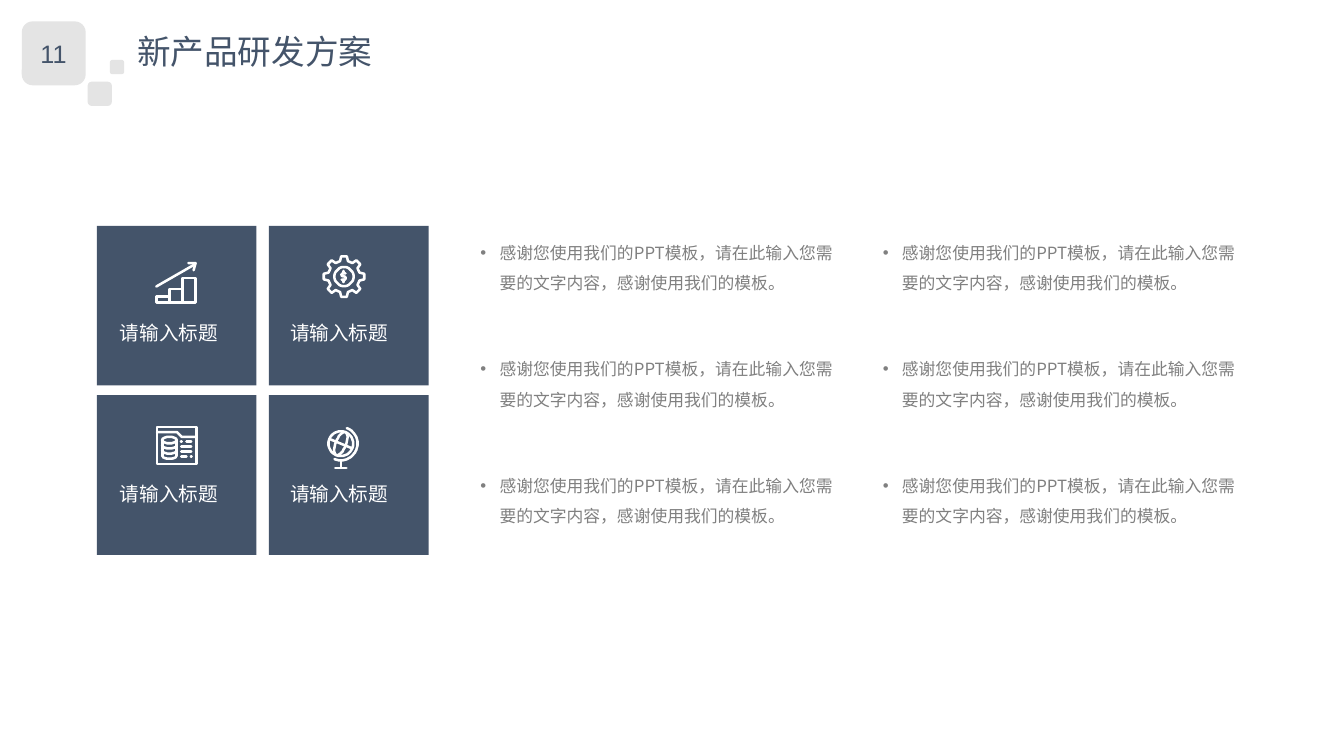
from math import cos, radians, sin

from lxml.etree import SubElement
from pptx import Presentation
from pptx.dml.color import RGBColor
from pptx.enum.shapes import MSO_SHAPE
from pptx.enum.text import MSO_ANCHOR, MSO_AUTO_SIZE, PP_ALIGN
from pptx.oxml.ns import qn
from pptx.util import Cm, Pt

NAVY, GRAY, LIGHT, WHITE = "44546A", "808080", "D9D9D9", "FFFFFF"
CJK = "Noto Sans CJK SC"
BODY = "感谢您使用我们的PPT模板，请在此输入您需要的文字内容，感谢使用我们的模板。"
LABEL = "请输入标题"


def color(value):
    return RGBColor.from_string(value)


def write(box, text, size, tint, name=CJK, bullet=False, wrap=True, **formats):
    """Fill a text shape with one paragraph; formats are paragraph attributes."""
    frame = box.text_frame
    frame.word_wrap = wrap
    frame.auto_size = MSO_AUTO_SIZE.SHAPE_TO_FIT_TEXT
    frame.vertical_anchor = MSO_ANCHOR.TOP
    para = frame.paragraphs[0]
    for key, value in formats.items():
        setattr(para, key, value)
    if bullet:
        properties = para._p.get_or_add_pPr()
        properties.set("marL", str(Cm(0.48)))
        properties.set("indent", str(Cm(-0.48)))
        SubElement(properties, qn("a:buFont")).set("typeface", "Arial")
        SubElement(properties, qn("a:buChar")).set("char", "•")
    span = para.add_run()
    span.text = text
    for key, value in {"size": Pt(size), "name": name}.items():
        setattr(span.font, key, value)
    span.font.color.rgb = color(tint)
    SubElement(span.font._element, qn("a:ea")).set("typeface", name)


def add_text(page, left, top, width, height, *content, **formats):
    box = page.shapes.add_textbox(Cm(left), Cm(top), Cm(width), Cm(height))
    write(box, *content, **formats)


def add_square(page, left, top, side, tint, corner=0.17, alpha=None):
    square = page.shapes.add_shape(
        MSO_SHAPE.ROUNDED_RECTANGLE, Cm(left), Cm(top), Cm(side), Cm(side))
    square.adjustments[0] = corner
    square.shadow.inherit = False
    square.fill.solid()
    square.fill.fore_color.rgb = color(tint)
    square.line.fill.background()
    if alpha:
        tone = square.fill._xPr.find(qn("a:solidFill"))[0]
        SubElement(tone, qn("a:alpha")).set("val", str(alpha * 1000))


def arc(x, y, wide, high, start=0, end=360, tilt=0):
    """Points of an elliptical arc, angles in degrees clockwise."""
    turn = radians(tilt)
    points = []
    for step in range(37):
        angle = radians(start + (end - start) * step / 36)
        across, down = wide * cos(angle), high * sin(angle)
        points.append((x + across * cos(turn) - down * sin(turn),
                       y + across * sin(turn) + down * cos(turn)))
    return points


def growth_strokes():
    return [
        [(5, 64), (99, 10)],
        [(86, 5), (104, 5), (99, 23)],
        [(71, 104), (71, 43), (104, 43), (104, 104), (5, 104), (5, 89), (38, 89)],
        [(38, 104), (38, 70), (71, 70)],
    ]


def gear_strokes():
    rim = [(54 + radius * cos(radians(tooth + offset)),
            54 + radius * sin(radians(tooth + offset)))
           for tooth in range(0, 360, 45)
           for offset, radius in ((-14, 40), (-8, 51), (8, 51), (14, 40))]
    return [
        rim + rim[:1],
        arc(54, 54, 24, 24),
        [(58, 46), (50, 46), (47, 50), (50, 53), (56, 54), (59, 58), (56, 62), (48, 62)],
        [(53, 40), (53, 46)],
        [(53, 62), (53, 68)],
    ]


def folder_strokes():
    cylinder = [arc(36, 37, 18, 8), [(18, 37), (18, 76)], [(54, 37), (54, 76)]]
    cylinder += [arc(36, y, 18, 8, 0, 180) for y in (50, 63, 76)]
    dashes = [(65, 67, 41), (79, 91, 41), (66, 91, 53), (66, 91, 66),
              (66, 79, 79), (90, 92, 79)]
    return cylinder + [[(start, y), (end, y)] for start, end, y in dashes] + [
        [(5, 4), (104, 4), (104, 97), (5, 97), (5, 4)],
        [(5, 17), (55, 17), (67, 29), (104, 29)],
    ]


def globe_strokes():
    return [
        arc(34, 43, 31, 31),
        arc(34, 43, 13, 31, tilt=22),
        [(5, 31), (63, 55)],
        arc(34, 43, 42, 42, -69, 113),
        [(34, 85), (34, 104)],
        [(20, 104), (48, 104)],
    ]


def add_icon(page, left, top, strokes):
    """Draw strokes given in hundredths of a centimetre."""
    builder = page.shapes.build_freeform(*strokes[0][0], scale=Cm(0.01))
    for index, stroke in enumerate(strokes):
        if index:
            builder.move_to(*stroke[0])
        builder.add_line_segments(stroke[1:], close=False)
    icon = builder.convert_to_shape(Cm(left), Cm(top))
    icon.shadow.inherit = False
    icon.fill.background()
    icon.line.color.rgb = color(WHITE)
    icon.line.width = Pt(1.8)
    outline = icon._element.spPr.find(qn("a:ln"))
    outline.set("cap", "rnd")
    SubElement(outline, qn("a:round"))


def add_header(page, left, top):
    for x, y, side in ((0, 0, 1.61), (1.66, 1.52, 0.61), (2.22, 0.97, 0.36)):
        add_square(page, left + x, top + y, side, LIGHT, alpha=70)
    add_text(page, left + 0.15, top + 0.3, 1.3, 1.02, "11", 18, NAVY, "Arial",
             wrap=False, alignment=PP_ALIGN.CENTER)
    title = page.shapes.title
    place = {"left": left + 2.65, "top": top + 0.12, "width": 6.5, "height": 1.28}
    for key, value in place.items():
        setattr(title, key, Cm(value))
    write(title, "新产品研发方案", 24, NAVY, wrap=False, alignment=PP_ALIGN.LEFT)


def add_tiles(page, left, top):
    label_x, label_y = (0.33, 0.28), (2.27, 2.06)
    icons = [(1.45, 0.89, growth_strokes()), (1.35, 0.74, gear_strokes()),
             (1.47, 0.76, folder_strokes()), (1.47, 0.79, globe_strokes())]
    for index, (icon_x, icon_y, strokes) in enumerate(icons):
        row, column = divmod(index, 2)
        x, y = left + column * 4.34, top + row * 4.27
        add_square(page, x, y, 4.02, NAVY, corner=0)
        add_icon(page, x + icon_x, y + icon_y, strokes)
        add_text(page, x + label_x[column], y + label_y[row], 3.3, 0.86,
                 LABEL, 14, WHITE, alignment=PP_ALIGN.JUSTIFY)


def add_bullets(page, left, top):
    for index in range(6):
        row, column = divmod(index, 2)
        add_text(page, left + column * 10.14, top + row * 2.93, 9.73, 1.68,
                 BODY, 12, GRAY, bullet=True, line_spacing=1.5)


def main():
    deck = Presentation()
    deck.slide_width, deck.slide_height = Cm(33.87), Cm(19.05)
    page = deck.slides.add_slide(deck.slide_layouts[5])
    add_header(page, 0.55, 0.54)
    add_tiles(page, 2.44, 5.69)
    add_bullets(page, 11.86, 5.74)
    deck.save("out.pptx")


if __name__ == "__main__":
    main()
